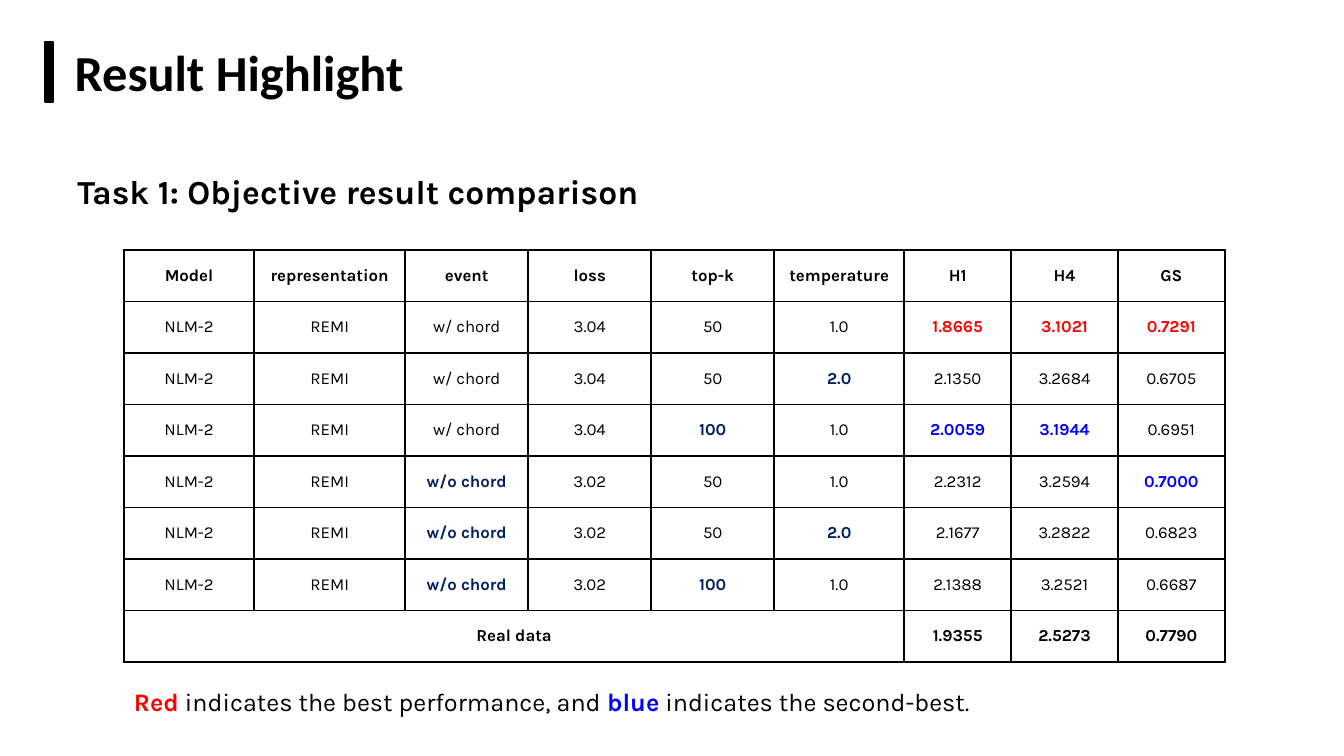
from lxml import etree
from pptx import Presentation
from pptx.dml.color import RGBColor
from pptx.enum import shapes, text
from pptx.oxml import ns
from pptx.util import Inches, Pt

COLORS = {
    "black": "000000",
    "white": "FFFFFF",
    "best": "FF0000",
    "second": "0000FF",
    "changed": "002060",
}
HEADERS = ["Model", "representation", "event", "loss", "top-k", "temperature",
           "H1", "H4", "GS"]
RUNS = [
    ["NLM-2", "REMI", "w/ chord", "3.04", "50", "1.0", "1.8665", "3.1021", "0.7291"],
    ["NLM-2", "REMI", "w/ chord", "3.04", "50", "2.0", "2.1350", "3.2684", "0.6705"],
    ["NLM-2", "REMI", "w/ chord", "3.04", "100", "1.0", "2.0059", "3.1944", "0.6951"],
    ["NLM-2", "REMI", "w/o chord", "3.02", "50", "1.0", "2.2312", "3.2594", "0.7000"],
    ["NLM-2", "REMI", "w/o chord", "3.02", "50", "2.0", "2.1677", "3.2822", "0.6823"],
    ["NLM-2", "REMI", "w/o chord", "3.02", "100", "1.0", "2.1388", "3.2521", "0.6687"],
]
REAL_DATA = ["1.9355", "2.5273", "0.7790"]
COLUMN_WIDTHS = [1.29, 1.5, 1.22, 1.22, 1.22, 1.29, 1.06, 1.06, 1.06]
SETTING_COLUMNS = (2, 4, 5)
FIRST_METRIC = 6


def rgb(name):
    return RGBColor.from_string(COLORS[name])


def add_run(paragraph, words, size, font="Karla", color="black", bold=False):
    run = paragraph.add_run()
    run.text = words
    run.font.name = font
    run.font.size = Pt(size)
    run.font.bold = bold
    run.font.color.rgb = rgb(color)


def add_text(slide, left, top, width, height, inset=0.1):
    """Add an empty text box and return its first paragraph."""
    box = slide.shapes.add_textbox(Inches(left), Inches(top), Inches(width), Inches(height))
    frame = box.text_frame
    frame.word_wrap = True
    frame.auto_size = text.MSO_AUTO_SIZE.SHAPE_TO_FIT_TEXT
    frame.margin_left = Inches(inset)
    return frame.paragraphs[0]


def add_title(slide, left, top, width, height):
    bar = slide.shapes.add_shape(shapes.MSO_SHAPE.RECTANGLE, Inches(left),
                                 Inches(top + 0.06), Inches(0.08), Inches(height - 0.12))
    bar.shadow.inherit = False
    bar.fill.solid()
    bar.fill.fore_color.rgb = rgb("black")
    bar.line.color.rgb = rgb("black")
    bar.line.width = Pt(1.5)
    paragraph = add_text(slide, left + 0.08, top, width - 0.08, height, inset=0.21)
    add_run(paragraph, "Result Highlight", 36, font="Calibri", bold=True)


def add_subtitle(slide, left, top, width, height):
    paragraph = add_text(slide, left, top, width, height)
    paragraph.line_spacing = 1.5
    add_run(paragraph, "Task 1: Objective result comparison", 24, bold=True)


def set_borders(cell):
    properties = cell._tc.get_or_add_tcPr()
    for position, side in enumerate(("lnL", "lnR", "lnT", "lnB")):
        line = etree.Element(ns.qn(f"a:{side}"), w=str(Pt(1.5)))
        fill = etree.SubElement(line, ns.qn("a:solidFill"))
        etree.SubElement(fill, ns.qn("a:srgbClr"), val=COLORS["black"])
        properties.insert(position, line)


def emphasis(row, column):
    """Colour of a run's cell: changed settings, and the two metrics nearest real data."""
    value = RUNS[row][column]
    if column in SETTING_COLUMNS and value != RUNS[0][column]:
        return "changed"
    if column >= FIRST_METRIC:
        target = float(REAL_DATA[column - FIRST_METRIC])
        ranked = sorted((run[column] for run in RUNS),
                        key=lambda metric: abs(float(metric) - target))
        return {0: "best", 1: "second"}.get(ranked.index(value), "black")
    return "black"


def add_results(slide, left, top, width, height):
    rows = [HEADERS, *RUNS, ["Real data"] + [""] * (FIRST_METRIC - 1) + REAL_DATA]
    last = len(rows) - 1
    table = slide.shapes.add_table(len(rows), len(HEADERS), Inches(left), Inches(top),
                                   Inches(width), Inches(height)).table
    for column, column_width in zip(table.columns, COLUMN_WIDTHS):
        column.width = Inches(column_width)
    table.cell(last, 0).merge(table.cell(last, FIRST_METRIC - 1))

    for row, values in enumerate(rows):
        for column, value in enumerate(values):
            cell = table.cell(row, column)
            cell.fill.solid()
            cell.fill.fore_color.rgb = rgb("white")
            set_borders(cell)
            cell.vertical_anchor = text.MSO_ANCHOR.MIDDLE
            if row == 0:
                cell.margin_left = cell.margin_right = Inches(0.08)
                cell.margin_top = cell.margin_bottom = Inches(0.08)
            if not value:
                continue
            outer = row in (0, last)
            color = "black" if outer else emphasis(row - 1, column)
            paragraph = cell.text_frame.paragraphs[0]
            paragraph.alignment = text.PP_ALIGN.CENTER
            add_run(paragraph, value, 12, color=color, bold=outer or color != "black")


def add_legend(slide, left, top, width, height):
    paragraph = add_text(slide, left, top, width, height)
    add_run(paragraph, "Red", 18, color="best", bold=True)
    add_run(paragraph, " indicates the best performance, and ", 18)
    add_run(paragraph, "blue", 18, color="second", bold=True)
    add_run(paragraph, " indicates the second-best.", 18)


def main():
    presentation = Presentation()
    presentation.slide_width = Inches(13.33)
    presentation.slide_height = Inches(7.5)
    slide = presentation.slides.add_slide(presentation.slide_layouts[6])
    add_title(slide, 0.45, 0.36, 12.44, 0.71)
    add_legend(slide, 1.23, 6.76, 10.94, 0.4)
    add_results(slide, 1.23, 2.48, 10.94, 4.09)
    add_subtitle(slide, 0.67, 1.45, 6.67, 0.65)
    presentation.save("out.pptx")


if __name__ == "__main__":
    main()
